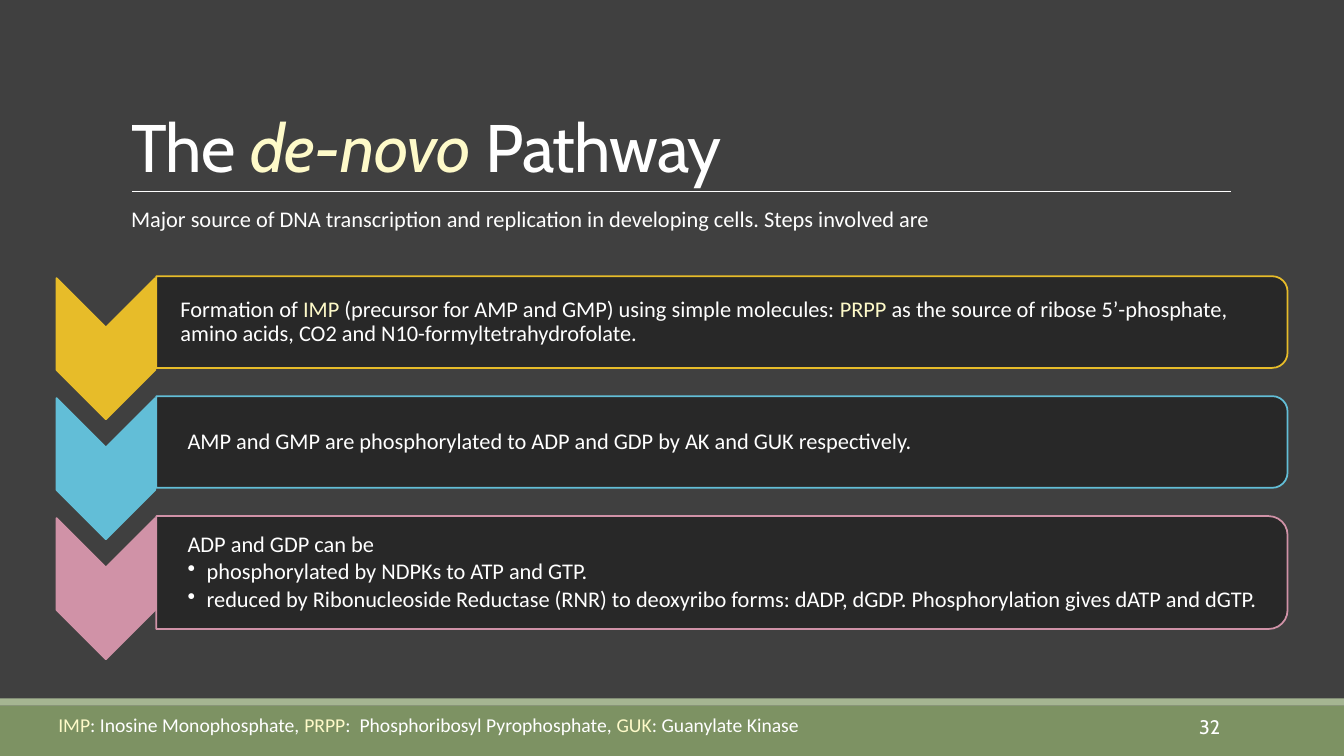
from lxml import etree
from pptx import Presentation
from pptx.dml.color import RGBColor
from pptx.enum import shapes, text
from pptx.oxml import ns
from pptx.util import Inches, Pt

WHITE, CREAM, DARK, GREY = "FFFFFF", "FEFAC9", "262626", "404040"
BARS = [(7, 0.5, "7D9263"), (6.93, 0.07, "A5B592")]

# A run is (words, colour); a paragraph is (runs, left margin, bullet).
TITLE = [("The ", WHITE), ("de-novo", CREAM), (" Pathway", WHITE)]
INTRO = [("Major source of DNA transcription and replication in developing cells. "
          "Steps involved are", WHITE)]
KEY = [("IMP", CREAM), (": Inosine Monophosphate, ", WHITE),
       ("PRPP", CREAM), (":  Phosphoribosyl Pyrophosphate, ", WHITE),
       ("GUK", CREAM), (": Guanylate Kinase", WHITE)]
STEPS = [
    ("E7BC29", 0.91, [([
        ("Formation of ", WHITE), ("IMP ", CREAM),
        ("(precursor for AMP and GMP) using simple molecules: ", WHITE),
        ("PRPP", CREAM),
        (" as the source of ribose 5’-phosphate, amino acids, CO2 and "
         "N10-formyltetrahydrofolate.", WHITE)], 0.12, False)]),
    ("62BED7", 0.91, [([
        ("AMP and GMP are phosphorylated to ADP and GDP by AK and GUK "
         "respectively.", WHITE)], 0.19, False)]),
    ("D092A7", 1.12, [
        ([("ADP and GDP can be", WHITE)], 0.19, False),
        ([("phosphorylated by NDPKs to ATP and GTP.", WHITE)], 0.38, True),
        ([("reduced by Ribonucleoside Reductase (RNR) to deoxyribo forms: "
           "dADP, dGDP. Phosphorylation gives dATP and dGTP.", WHITE)], 0.38, True)]),
]
TOP, PITCH = 2.74, 1.19


def rgb(code):
    return RGBColor.from_string(code)


def box(*sides):
    return [Inches(side) for side in sides]


def place(item, *sides):
    item.left, item.top, item.width, item.height = box(*sides)


def write(para, runs, size, face="Calibri"):
    para.font.size, para.font.name = Pt(size), face
    for words, code in runs:
        run = para.add_run()
        run.text = words
        run.font.color.rgb = rgb(code)


def indent(para, left, bullet=False):
    props = para._p.get_or_add_pPr()
    props.set("marL", str(Inches(left)))
    props.set("indent", str(Inches(-0.19 if bullet else 0)))
    mark = etree.SubElement(props, ns.qn("a:buChar" if bullet else "a:buNone"))
    if bullet:
        mark.set("char", "•")


def label(sides, anchor=text.MSO_ANCHOR.MIDDLE):
    frame = slide.shapes.add_textbox(*box(*sides)).text_frame
    frame.word_wrap = True
    frame.vertical_anchor = anchor
    return frame


def draw(kind, sides, fill, line=None):
    shape = slide.shapes.add_shape(kind, *box(*sides))
    shape.shadow.inherit = False
    shape.fill.solid()
    shape.fill.fore_color.rgb = rgb(fill)
    if line:
        shape.line.color.rgb = rgb(line)
        shape.line.width = Pt(1.25)
    else:
        shape.line.fill.background()
    return shape


def turn(kind, left, top, wide, high, fill, line):
    """Draw a shape turned by 90 degrees that covers the given area."""
    shift = (wide - high) / 2
    shape = draw(kind, (left + shift, top - shift, high, wide), fill, line)
    shape.rotation = 90
    return shape


deck = Presentation()
deck.slide_width, deck.slide_height = box(13.33, 7.5)
slide = deck.slides.add_slide(deck.slide_layouts[1])
slide.background.fill.solid()
slide.background.fill.fore_color.rgb = rgb(GREY)

for top, high, code in BARS:
    draw(shapes.MSO_SHAPE.RECTANGLE, (0, top, 13.33, high), code)
rule = slide.shapes.add_connector(shapes.MSO_CONNECTOR.STRAIGHT,
                                  *box(1.31, 1.9, 12.21, 1.9))
rule.line.color.rgb = rgb(WHITE)
rule.line.width = Pt(0.5)
etree.SubElement(rule._element.spPr, ns.qn("a:effectLst"))

title, body = slide.placeholders
place(title, 1.2, 0.31, 11, 1.59)
frame = title.text_frame
frame.auto_size = text.MSO_AUTO_SIZE.NONE
frame.vertical_anchor = text.MSO_ANCHOR.BOTTOM
head = frame.paragraphs[0]
head.alignment = text.PP_ALIGN.LEFT
head.line_spacing = 0.85
write(head, TITLE, 48, "Cabin")
head.runs[1].font.italic = True
for run in head.runs:
    run.font._element.set("spc", "-50")

place(body, 1.2, 2.02, 11, 0.6)
frame = body.text_frame
frame.auto_size = text.MSO_AUTO_SIZE.NONE
frame.margin_left = frame.margin_right = 0
intro = frame.paragraphs[0]
intro.line_spacing, intro.space_before = 0.9, Pt(0)
indent(intro, 0.1)
write(intro, INTRO, 16)

page = label((10.77, 7.01, 1.43, 0.4)).paragraphs[0]
page.alignment = text.PP_ALIGN.RIGHT
write(page, [("32", WHITE)], 14, "Cabin")
write(label((0.48, 6.99, 8.83, 0.4)).paragraphs[0], KEY, 14)

for row, (code, high, paras) in enumerate(STEPS):
    top = TOP + row * PITCH
    turn(shapes.MSO_SHAPE.CHEVRON, 0.56, top + 0.02, 0.98, 1.4, code, code)
    card = turn(shapes.MSO_SHAPE.ROUND_2_SAME_RECTANGLE,
                1.55, top, 11.22, high, DARK, code)
    tint = card._element.spPr.find(".//" + ns.qn("a:srgbClr"))
    etree.SubElement(tint, ns.qn("a:alpha")).set("val", "90000")
    frame = label((1.55, top + 0.05, 11.18, high - 0.1))
    frame.margin_left = Inches(0.12)
    frame.margin_top = frame.margin_right = frame.margin_bottom = Inches(0.01)
    for spot, (runs, left, bullet) in enumerate(paras):
        para = frame.add_paragraph() if spot else frame.paragraphs[0]
        para.line_spacing, para.space_after = 0.9, Pt(2.4)
        indent(para, left, bullet)
        if bullet:
            para.level = 1
        write(para, runs, 16)

deck.save("out.pptx")
